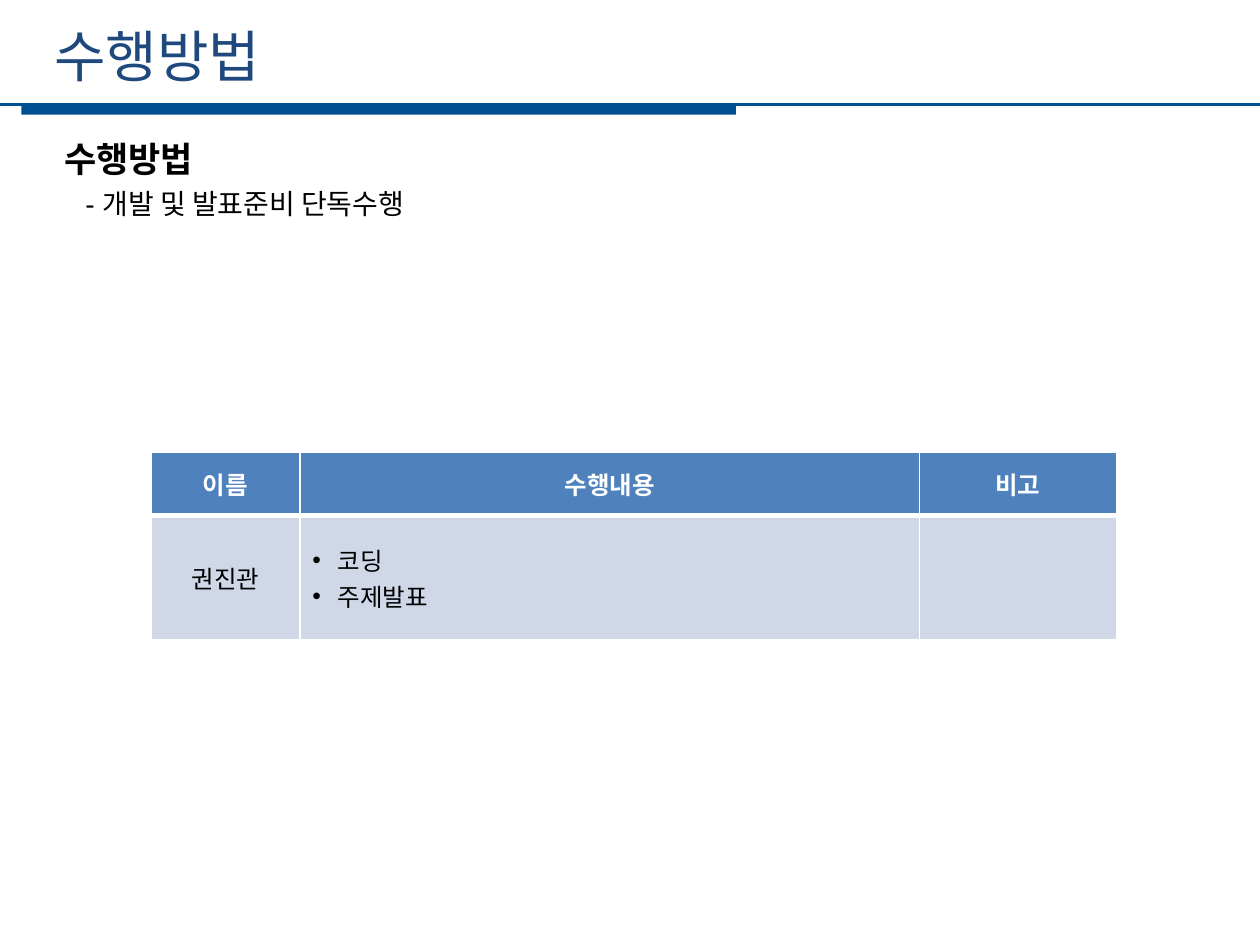
from dataclasses import dataclass
from lxml.etree import SubElement as Sub
from pptx import Presentation as Deck
from pptx.dml.color import RGBColor as Color
from pptx.enum.shapes import MSO_CONNECTOR as Link, MSO_SHAPE as Form
from pptx.enum.text import MSO_ANCHOR as Anchor, MSO_AUTO_SIZE as Fit, PP_ALIGN as Align
from pptx.oxml.ns import qn
from pptx.util import Inches, Pt


@dataclass(frozen=True)
class Theme:
    font: str = "Noto Sans CJK KR"
    latin: str = "Arial"
    navy: str = "1F497D"
    bar: str = "005094"
    head: str = "4F81BD"
    cell: str = "D0D8E8"
    ink: str = "000000"
    white: str = "FFFFFF"
    title: int = 32
    lead: int = 20
    body: int = 16
    table: int = 14


class Page:
    def __init__(self, theme):
        self.theme = theme
        self.deck = Deck()
        self.deck.slide_width, self.deck.slide_height = Inches(10), Inches(7.5)
        self.slide = self.deck.slides.add_slide(self.deck.slide_layouts[5])
        self.shapes = self.slide.shapes

    def grid(self, *units):
        return [Inches(unit / 10) for unit in units]

    def run(self, para, text, size, color, bold=False, font=None):
        run = para.add_run()
        run.text = text
        face = run.font
        face.size, face.bold = Pt(size), bold
        face.name = font or self.theme.font
        face.color.rgb = Color.from_string(color)
        Sub(run._r.get_or_add_rPr(), qn("a:ea"), typeface=self.theme.font)

    def paint(self, fill, color):
        fill.solid()
        fill.fore_color.rgb = Color.from_string(color)

    def title(self, text, *box):
        shape = self.shapes.title
        shape.left, shape.top, shape.width, shape.height = self.grid(*box)
        frame = shape.text_frame
        frame.auto_size, frame.word_wrap = Fit.NONE, True
        frame.vertical_anchor = Anchor.TOP
        para = frame.paragraphs[0]
        para.alignment = Align.LEFT
        self.run(para, text, self.theme.title, self.theme.navy)

    def bar(self, *box):
        shape = self.shapes.add_shape(Form.RECTANGLE, *self.grid(*box))
        shape.shadow.inherit = False
        self.paint(shape.fill, self.theme.bar)
        shape.line.fill.background()

    def rule(self, *ends):
        line = self.shapes.add_connector(Link.STRAIGHT, *self.grid(*ends))
        line.line.color.rgb = Color.from_string(self.theme.bar)
        line.line.width = Pt(1.25)
        Sub(line._element.spPr, qn("a:effectLst"))

    def text(self, lines, *box):
        frame = self.shapes.add_textbox(*self.grid(*box)).text_frame
        frame.word_wrap = True
        for i, (text, size, bold, indent) in enumerate(lines):
            para = frame.add_paragraph() if i else frame.paragraphs[0]
            para.line_spacing = Pt(23)
            para._p.get_or_add_pPr().set("marL", str(Inches(indent)))
            self.run(para, text, size, self.theme.ink, bold, self.theme.latin)

    def edges(self, cell, base):
        props = cell._tc.get_or_add_tcPr()
        for i, side in enumerate("LRTB"):
            width = base if side == "B" else 1
            edge = Sub(props, qn(f"a:ln{side}"), w=str(Pt(width)))
            fill = Sub(edge, qn("a:solidFill"))
            Sub(fill, qn("a:srgbClr"), val=self.theme.white)
            props.insert(i, edge)

    def bullet(self, para):
        props = para._p.get_or_add_pPr()
        props.set("marL", str(Inches(0.2)))
        props.set("indent", str(Inches(-0.2)))
        Sub(props, qn("a:buFont"), typeface=self.theme.latin)
        Sub(props, qn("a:buChar"), char="•")

    def cell(self, cell, items, head):
        theme = self.theme
        self.paint(cell.fill, theme.head if head else theme.cell)
        self.edges(cell, 3 if head else 1)
        cell.vertical_anchor = Anchor.MIDDLE
        frame = cell.text_frame
        for i, item in enumerate(items):
            para = frame.add_paragraph() if i else frame.paragraphs[0]
            if len(items) > 1:
                self.bullet(para)
            else:
                para.alignment = Align.CENTER
            self.run(para, item, theme.table, theme.white if head else theme.ink, head)

    def table(self, rows, left, top, cols, tall):
        box = self.grid(left, top, sum(cols), sum(tall))
        table = self.shapes.add_table(len(rows), len(cols), *box).table
        for col, width in zip(table.columns, self.grid(*cols)):
            col.width = width
        for row, height in zip(table.rows, self.grid(*tall)):
            row.height = height
        for r, row in enumerate(rows):
            for c, items in enumerate(row):
                self.cell(table.cell(r, c), items, r == 0)


theme = Theme()
page = Page(theme)
page.bar(1.7, 8.3, 56.7, 0.8)
page.rule(0, 8.3, 100, 8.3)
page.title("수행방법", 3.3, 1.2, 89.6, 6.4)
page.text(
    [("수행방법", theme.lead, True, 0),
     ("- 개발 및 발표준비 단독수행", theme.body, False, 0.17)],
    4.1, 10.6, 91.2, 7.1)
page.table(
    [[["이름"], ["수행내용"], ["비고"]],
     [["권진관"], ["코딩", "주제발표"], []]],
    12, 35.9, [11.8, 49.2, 15.6], [5, 9.9])
page.deck.save("out.pptx")
